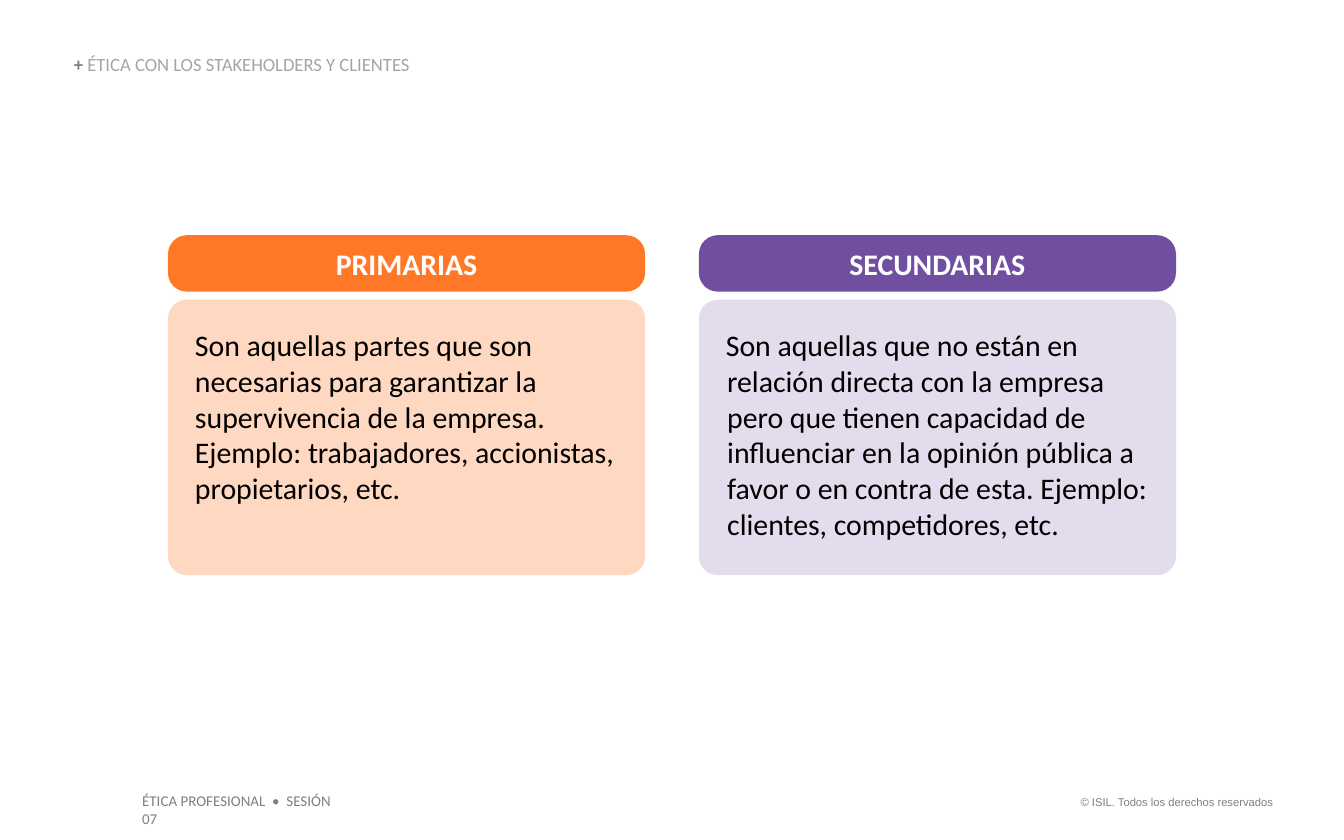
"""Build a slide that compares primary and secondary stakeholders."""
from dataclasses import dataclass

from pptx import Presentation
from pptx.dml.color import RGBColor as Rgb
from pptx.enum.shapes import MSO_SHAPE as Kind
from pptx.enum.text import MSO_ANCHOR as Anchor, MSO_AUTO_SIZE as Fit, PP_ALIGN as Align
from pptx.util import Inches, Pt


@dataclass(frozen=True)
class Theme:
    """Colours, fonts and type sizes."""
    orange: str = "FF7828"
    peach: str = "FFD8C2"
    purple: str = "714FA0"
    lilac: str = "E3DCED"
    white: str = "FFFFFF"
    black: str = "000000"
    gray: str = "7F7F7F"
    pale: str = "A5A5A5"
    font: str = "Calibri"
    legal: str = "Arial"
    body: int = 16
    head: int = 10
    foot: int = 8
    small: int = 6


def write(shape, *parts, size, color=None, font=Theme.font, bold=False, align=Align.LEFT,
          anchor=Anchor.TOP, pad=(0.1, 0.05, 0.1, 0.05), line=None, hang=0):
    """Fill a shape with text; a part is a string or a (text, color, bold) tuple."""
    frame = shape.text_frame
    frame.word_wrap, frame.auto_size = True, Fit.NONE
    frame.vertical_anchor = anchor
    (frame.margin_left, frame.margin_top,
     frame.margin_right, frame.margin_bottom) = map(Inches, pad)
    para = frame.paragraphs[0]
    para.alignment, para.line_spacing = align, line
    if hang:
        props = para._p.get_or_add_pPr()
        props.set("marL", str(Inches(hang)))
        props.set("indent", str(-Inches(hang)))
    for part in parts:
        text, tint, heavy = (part, color, bold) if isinstance(part, str) else part
        run = para.add_run()
        run.text = text
        run.font.name, run.font.size, run.font.bold = font, Pt(size), heavy
        run.font.color.rgb = Rgb.from_string(tint)


class Deck:
    """Hold the theme, the slide and its grid of 40 columns by 25 rows."""

    def __init__(self, theme):
        """Open a title-only slide."""
        self.theme = theme
        self.prs = Presentation()
        self.prs.slide_width, self.prs.slide_height = Inches(10), Inches(6.25)
        self.slide = self.prs.slides.add_slide(self.prs.slide_layouts[5])

    def place(self, col, row, cols, rows):
        """Turn grid cells into slide lengths."""
        wide, high = self.prs.slide_width / 40, self.prs.slide_height / 25
        return [round(n) for n in (col * wide, row * high, cols * wide, rows * high)]

    def title(self, cells, *parts, **form):
        """Move and format the title."""
        box = self.slide.shapes.title
        box.left, box.top, box.width, box.height = self.place(*cells)
        write(box, *parts, **form)

    def label(self, cells, text, **form):
        """Add a text box."""
        write(self.slide.shapes.add_textbox(*self.place(*cells)), text, **form)

    def panel(self, cells, fill, text, **form):
        """Add a filled panel whose corners have a fixed radius."""
        box = self.slide.shapes.add_shape(Kind.ROUNDED_RECTANGLE, *self.place(*cells))
        box.adjustments[0] = Inches(0.14) / min(box.width, box.height)
        box.shadow.inherit = False
        box.fill.solid()
        box.fill.fore_color.rgb = Rgb.from_string(fill)
        box.line.fill.background()
        write(box, text, size=self.theme.body, **form)

    def card(self, col, dark, light, head, body, hang=0):
        """Add a heading panel with a body panel below it."""
        self.panel((col, 7, 14.2, 1.68), dark, head, color=self.theme.white, bold=True,
                   align=Align.CENTER, anchor=Anchor.MIDDLE)
        self.panel((col, 8.92, 14.2, 8.2), light, body, color=self.theme.black,
                   pad=(0.16, 0.16, 0.1, 0.05), hang=hang)


def main():
    """Lay out the slide and save it."""
    look = Theme()
    deck = Deck(look)
    deck.label((31.52, 23.48, 6.76, 0.8), "© ISIL. Todos los derechos reservados",
               size=look.small, color=look.gray, font=look.legal, align=Align.RIGHT)
    deck.label((3.84, 23.36, 6.96, 0.96), "ÉTICA PROFESIONAL  •  SESIÓN 07",
               size=look.foot, color=look.gray)
    deck.title((2.2, 1.64, 20.92, 0.6), ("+ ", look.gray, True),
               ("ÉTICA CON LOS STAKEHOLDERS Y CLIENTES", look.pale, False),
               size=look.head, anchor=Anchor.BOTTOM, pad=(0, 0, 0, 0), line=0.9)
    deck.card(5, look.orange, look.peach, "PRIMARIAS",
              "Son aquellas partes que son necesarias para garantizar la supervivencia "
              "de la empresa. Ejemplo: trabajadores, accionistas, propietarios, etc.")
    deck.card(20.8, look.purple, look.lilac, "SECUNDARIAS",
              "Son aquellas que no están en relación directa con la empresa pero que "
              "tienen capacidad de influenciar en la opinión pública a favor o en contra "
              "de esta. Ejemplo: clientes, competidores, etc.", hang=0.01)
    deck.prs.save("out.pptx")


if __name__ == "__main__":
    main()
